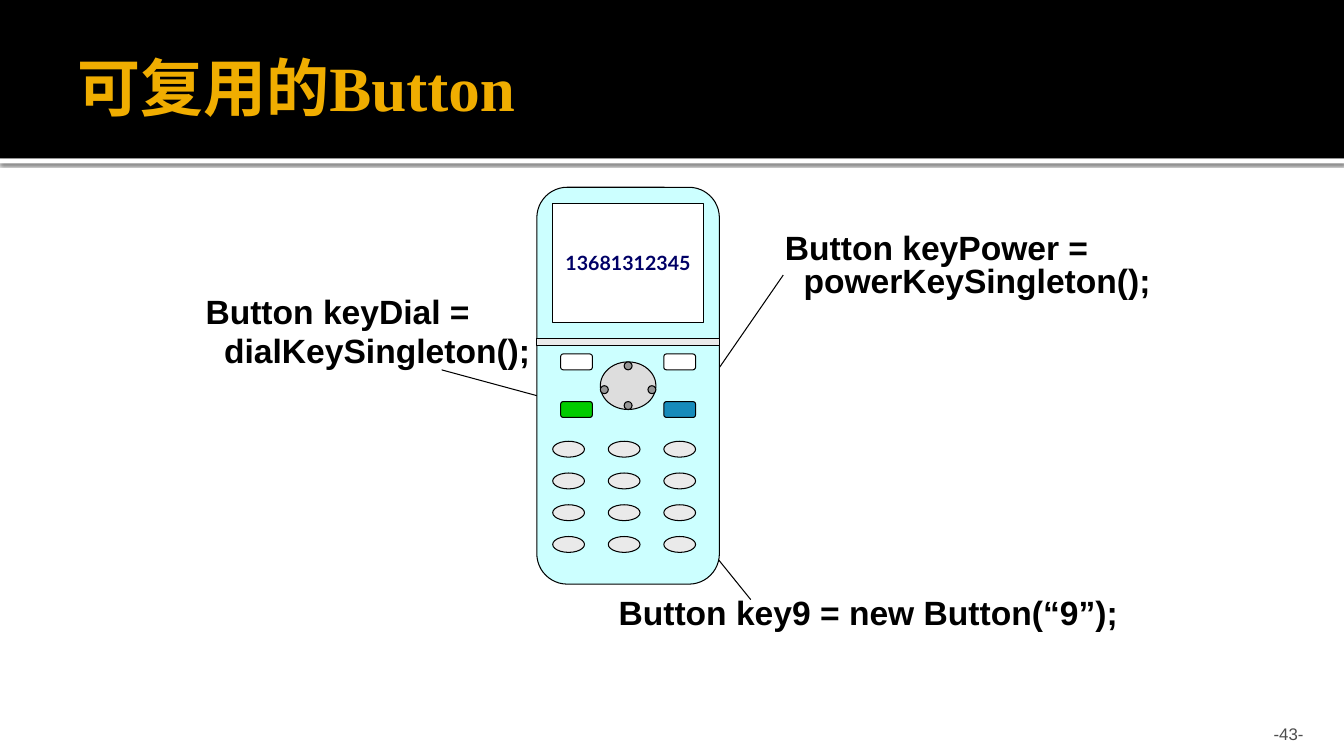
from itertools import product

from lxml.etree import SubElement
from pptx import Presentation
from pptx.dml.color import RGBColor
from pptx.enum.shapes import MSO_CONNECTOR, MSO_SHAPE
from pptx.enum.text import MSO_ANCHOR, PP_ALIGN
from pptx.oxml.ns import qn
from pptx.util import Cm, Pt

SLIDE_WIDTH, SLIDE_HEIGHT = 33.87, 19.05
HANGING_INDENT = 0.47


def rgb(color):
    return RGBColor.from_string(color)


def add_box(shapes, kind, box, fill, outline="000000"):
    shape = shapes.add_shape(kind, *map(Cm, box))
    shape.shadow.inherit = False
    shape.fill.solid()
    shape.fill.fore_color.rgb = rgb(fill)
    if outline:
        shape.line.color.rgb = rgb(outline)
        shape.line.width = Pt(0.75)
    else:
        shape.line.fill.background()
    return shape


def style_font(paragraph, name, size, color, bold=True):
    font = paragraph.font
    font.name, font.size, font.bold = name, Pt(size), bold
    font.color.rgb = rgb(color)


def add_text(slide, box, text, anchor=MSO_ANCHOR.TOP):
    frame = slide.shapes.add_textbox(*map(Cm, box)).text_frame
    frame.word_wrap = True
    frame.vertical_anchor = anchor
    frame.text = text
    return frame


def add_soft_shadow(shape):
    effects = shape._element.spPr.find(qn("a:effectLst"))
    shadow = SubElement(effects, qn("a:outerShdw"), blurRad=str(Pt(2.5)),
                        dist=str(Pt(0.8)), dir="5400000", rotWithShape="0")
    color = SubElement(shadow, qn("a:srgbClr"), val="000000")
    SubElement(color, qn("a:alpha"), val="60000")


def add_header(slide, box, title):
    left, top, width, height = box
    strip = add_box(slide.shapes, MSO_SHAPE.RECTANGLE,
                    (left, top + height, width, 0.13), "FFFFFF", None)
    add_soft_shadow(strip)
    add_box(slide.shapes, MSO_SHAPE.RECTANGLE, box, "000000", None)
    frame = add_text(slide, (left + 1.7, top + 0.43, 30.48, 3.48), title,
                     MSO_ANCHOR.MIDDLE)
    frame.margin_right = Cm(0.13)
    style_font(frame.paragraphs[0], "Times New Roman", 45, "F0AD00")


def add_page_number(slide, box, text):
    frame = add_text(slide, box, text, MSO_ANCHOR.BOTTOM)
    frame.margin_bottom = 0
    frame.paragraphs[0].alignment = PP_ALIGN.RIGHT
    style_font(frame.paragraphs[0], "Arial", 12, "4D4D4D", False)


def add_code_label(slide, box, text, start, end):
    """Place a code label and its leader line from start to end."""
    line = slide.shapes.add_connector(MSO_CONNECTOR.STRAIGHT,
                                      *map(Cm, start + end))
    line.line.color.rgb = rgb("000000")
    line.line.width = Pt(0.75)
    SubElement(line._element.spPr, qn("a:effectLst"))
    frame = add_text(slide, box, text)
    for index, paragraph in enumerate(frame.paragraphs):
        properties = paragraph._p.get_or_add_pPr()
        properties.set("marL", str(Cm(HANGING_INDENT)))
        properties.set("indent", str(0 if index else -Cm(HANGING_INDENT)))
        paragraph.line_spacing = 0.8
        paragraph.space_before = Pt(4.8 if index else 0)
        style_font(paragraph, "Arial", 24, "000000")


def add_phone(slide, box, number):
    left, top, width, height = box
    shapes = slide.shapes.add_group_shape().shapes

    def add_part(kind, x, y, part_width, part_height, fill):
        return add_box(shapes, kind,
                       (left + x, top + y, part_width, part_height), fill)

    add_part(MSO_SHAPE.ROUNDED_RECTANGLE, 0, 0, width, height, "CCFFFF")
    screen = add_part(MSO_SHAPE.RECTANGLE, 0.4, 0.4, width - 0.8, 3, "FFFFFF")
    frame = screen.text_frame
    frame.word_wrap = False
    frame.vertical_anchor = MSO_ANCHOR.MIDDLE
    frame.text = number
    frame.paragraphs[0].alignment = PP_ALIGN.CENTER
    style_font(frame.paragraphs[0], "Lato", 14, "000066")

    add_part(MSO_SHAPE.RECTANGLE, 0, 3.8, width, 0.2, "EAEAEA")
    add_part(MSO_SHAPE.OVAL, 1.6, 4.4, 1.4, 1.2, "DDDDDD")
    function_keys = product((0.6, 3.2), (4.2, 5.4))
    for (x, y), fill in zip(function_keys,
                            ("FFFFFF", "00CC00", "FFFFFF", "168BBA")):
        add_part(MSO_SHAPE.ROUNDED_RECTANGLE, x, y, 0.8, 0.4, fill)
    for row, column in product(range(4), range(3)):
        add_part(MSO_SHAPE.OVAL, 0.4 + 1.4 * column, 6.4 + 0.8 * row,
                 0.8, 0.4, "EAEAEA")
    for x, y in ((2.2, 4.4), (2.2, 5.4), (2.8, 5), (1.6, 5)):
        add_part(MSO_SHAPE.OVAL, x, y, 0.2, 0.2, "969696")


def main():
    presentation = Presentation()
    presentation.slide_width = Cm(SLIDE_WIDTH)
    presentation.slide_height = Cm(SLIDE_HEIGHT)
    slide = presentation.slides.add_slide(presentation.slide_layouts[6])

    add_header(slide, (0, 0, SLIDE_WIDTH, 3.99), "可复用的Button")
    add_page_number(slide, (30.38, 17.98, 2.72, 0.76), "-43-")
    add_code_label(slide, (15.34, 15, 13.2, 1.07),
                   "Button key9 = new Button(“9”);",
                   (17.32, 13.13), (18.92, 15.11))
    add_code_label(slide, (4.93, 7.4, 8.81, 2.1),
                   "Button keyDial =\ndialKeySingleton();",
                   (14.12, 10.13), (11.13, 9.32))
    add_code_label(slide, (19.53, 5.8, 10.1, 1.9),
                   "Button keyPower =\vpowerKeySingleton();",
                   (17.53, 10.13), (19.74, 6.93))
    add_phone(slide, (13.53, 4.72, 4.6, 10), "13681312345")
    presentation.save("out.pptx")


if __name__ == "__main__":
    main()
